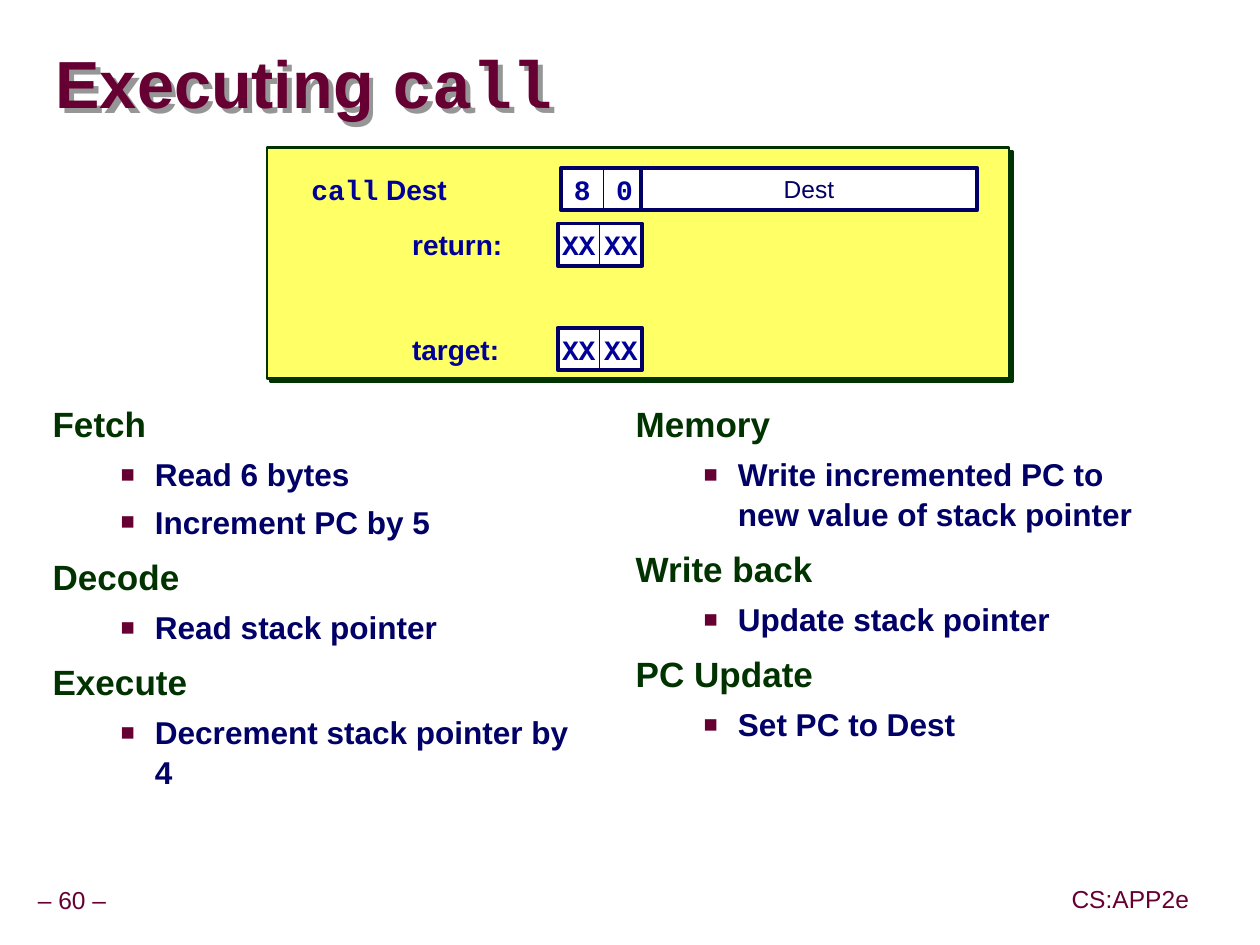
from lxml.etree import SubElement
from pptx import Presentation
from pptx.dml.color import RGBColor
from pptx.enum.shapes import MSO_SHAPE as Shape
from pptx.enum.text import MSO_ANCHOR as Anchor, PP_ALIGN as Align
from pptx.oxml.ns import qn
from pptx.util import Cm, Pt

MAROON, GREEN, NAVY, BLUE = "660033", "003300", "000066", "000099"
WHITE, YELLOW, GRAY = "FFFFFF", "FFFF66", "969696"
SANS, MONO = "Arial", "Courier New"
CELL = 0.85  # side of one instruction byte half, in cm


def color(code):
    return RGBColor.from_string(code)


def add_span(para, text, size=16, font=SANS, ink=BLUE, bold=True):
    span = para.add_run()
    span.text = text
    span.font.size, span.font.name, span.font.bold = Pt(size), font, bold
    span.font.color.rgb = color(ink)


def add_bullet(para):
    props = para._p.get_or_add_pPr()
    props.set("marL", str(Cm(2.06)))
    props.set("indent", str(-Cm(0.69)))
    tint = SubElement(props, qn("a:buClr"))
    SubElement(tint, qn("a:srgbClr"), val=MAROON)
    SubElement(props, qn("a:buSzPct"), val="75000")
    SubElement(props, qn("a:buFont"), typeface=SANS)
    SubElement(props, qn("a:buChar"), char="■")


def add_shadow(shape, ink, distance):
    shape.shadow.inherit = False
    effects = shape._element.spPr.find(qn("a:effectLst"))
    outer = SubElement(effects, qn("a:outerShdw"), dist=str(Pt(distance)),
                       dir="2700000", algn="ctr", rotWithShape="0")
    SubElement(outer, qn("a:srgbClr"), val=ink)


class Page:
    def __init__(self, deck):
        self.shapes = deck.slides.add_slide(deck.slide_layouts[6]).shapes

    def frame(self, shape, anchor=Anchor.MIDDLE, wrap=True, inset=(0.25, 0.13)):
        frame = shape.text_frame
        frame.word_wrap, frame.vertical_anchor = wrap, anchor
        frame.margin_left = frame.margin_right = Cm(inset[0])
        frame.margin_top = frame.margin_bottom = Cm(inset[1])
        return frame

    def label(self, place, spans, align=Align.LEFT, spacing=1.0, **layout):
        box = self.shapes.add_textbox(*map(Cm, place))
        para = self.frame(box, **layout).paragraphs[0]
        para.alignment, para.line_spacing = align, spacing
        for text, style in spans:
            add_span(para, text, **style)
        return box

    def rect(self, place, fill=None, line=NAVY, weight=2.25, text="", **style):
        shape = self.shapes.add_shape(Shape.RECTANGLE, *map(Cm, place))
        shape.shadow.inherit = False
        if fill:
            shape.fill.solid()
            shape.fill.fore_color.rgb = color(fill)
        else:
            shape.fill.background()
        shape.line.color.rgb, shape.line.width = color(line), Pt(weight)
        if text:
            para = self.frame(shape, wrap=False, inset=(0, 0.13)).paragraphs[0]
            para.alignment = Align.CENTER
            add_span(para, text, **style)
        return shape

    def byte(self, left, top, halves):
        for i, half in enumerate(halves):
            self.rect((left + i * CELL, top, CELL, CELL), WHITE, weight=0.5,
                      text=half, font=MONO)
        self.rect((left, top, 2 * CELL, CELL))

    def outline(self, place, stages):
        box = self.shapes.add_textbox(*map(Cm, place))
        frame = self.frame(box, Anchor.TOP)
        for i, (stage, steps) in enumerate(stages):
            para = frame.add_paragraph() if i else frame.paragraphs[0]
            para.line_spacing, para.space_before = 0.95, Pt(10 if i else 0)
            add_span(para, stage, 20, ink=GREEN)
            for step in steps:
                para = frame.add_paragraph()
                add_bullet(para)
                para.line_spacing, para.space_before = 1.05, Pt(4.5)
                add_span(para, step, 18, ink=NAVY)


def main():
    deck = Presentation()
    deck.slide_width, deck.slide_height = Cm(25.37), Cm(19.02)
    page = Page(deck)

    # Footer
    footer = dict(size=14, ink=MAROON, bold=False)
    for place, text in (((0.61, 17.75, 1.68, 0.79), "– 60 –"),
                        ((21.44, 17.73, 2.64, 0.79), "CS:APP2e")):
        page.label(place, [(text, footer)], Align.CENTER, 0.9,
                   wrap=False, inset=(0.13, 0.13))

    # Title
    heading = dict(size=38, ink=MAROON)
    title = page.label((1.12, 0.69, 24.18, 2.16),
                       [("Executing ", heading), ("call", heading | {"font": MONO})],
                       spacing=0.87, inset=(0, 0))
    add_shadow(title, GRAY, 4)

    # Stages
    page.outline((0.81, 8.03, 11.3, 8.33), [
        ("Fetch", ["Read 6 bytes", "Increment PC by 5"]),
        ("Decode", ["Read stack pointer"]),
        ("Execute", ["Decrement stack pointer by 4"])])
    page.outline((12.55, 8.03, 11.3, 8.33), [
        ("Memory", ["Write incremented PC to new value of stack pointer"]),
        ("Write back", ["Update stack pointer"]),
        ("PC Update", ["Set PC to Dest"])])

    # Instruction encoding
    panel = page.rect((5.38, 2.97, 14.94, 4.65), YELLOW, GREEN, 1.5)
    add_shadow(panel, GREEN, 2.8)
    page.label((6.02, 3.38, 5.28, CELL), [("call", {"font": MONO}), (" Dest", {})])
    page.byte(11.3, 3.38, ("8", "0"))
    page.rect((12.9, 3.38, 6.78, CELL), WHITE, text="Dest", size=14, ink=NAVY,
              bold=False)
    for name, top in (("return:", 4.5), ("target:", 6.6)):
        page.byte(11.23, top, ("XX", "XX"))
        page.label((8.05, top, 3.1, CELL), [(name, {})])

    deck.save("out.pptx")


if __name__ == "__main__":
    main()
